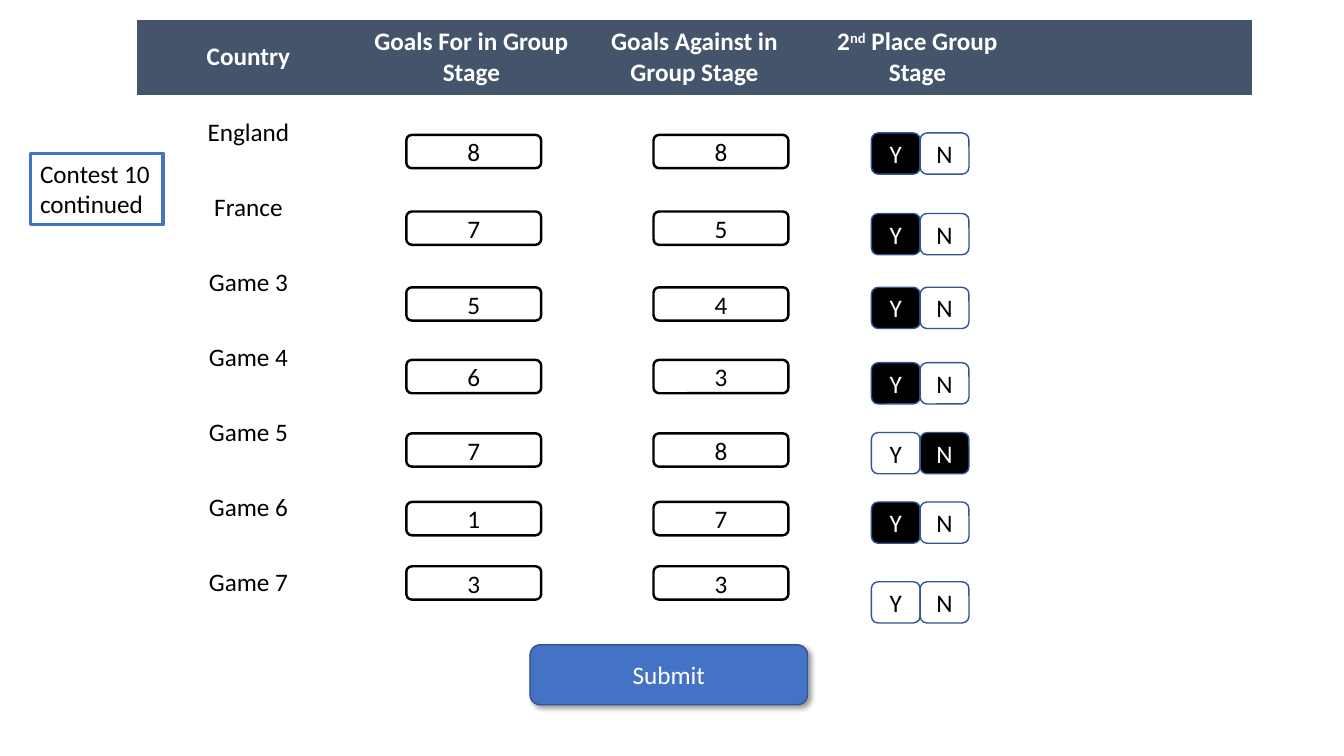
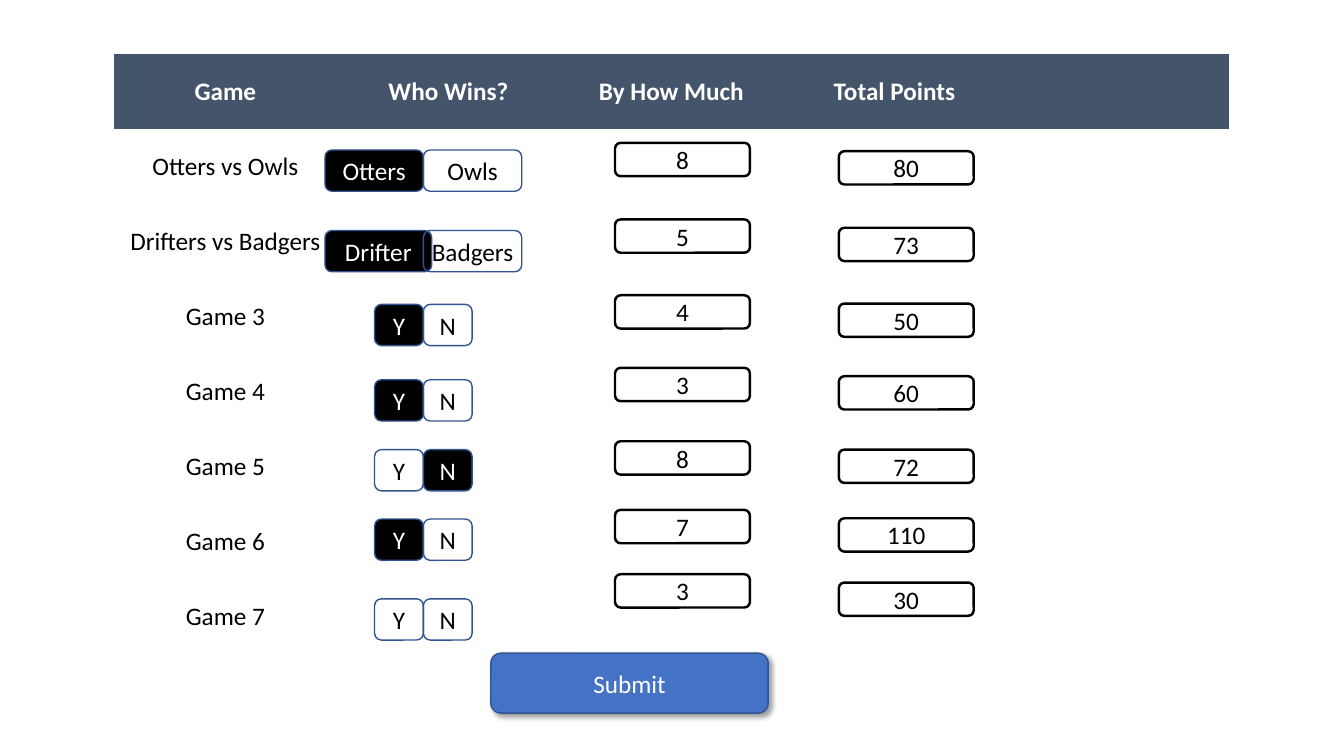
from lxml import etree
from pptx import Presentation
from pptx.dml.color import RGBColor
from pptx.enum.shapes import MSO_SHAPE as Preset
from pptx.enum.text import MSO_ANCHOR as Anchor, PP_ALIGN as Align
from pptx.oxml import parse_xml
from pptx.oxml.ns import nsdecls, qn
from pptx.util import Cm, Pt

FONT_NAME = "Calibri"
FONT_SIZE = Pt(18)
WHITE = RGBColor(0xFF, 0xFF, 0xFF)
BLACK = RGBColor(0x00, 0x00, 0x00)
SLATE = RGBColor(0x44, 0x54, 0x6A)
BLUE = RGBColor(0x44, 0x72, 0xC4)
DARK_BLUE = RGBColor(0x32, 0x54, 0x91)

PLAIN_TABLE_STYLE = "{2D5ABB26-0587-4C30-8999-92F81FD0307C}"
COLUMN_COUNT = 5
COLUMN_WIDTH = 5.62
ROW_HEIGHT = 1.89

ENTRY_TOPS = [3.4, 5.33, 7.24, 9.07, 10.92, 12.65, 14.27]
ENTRY_SIZE = (3.4, 0.84)
CHOICE_TOPS = [3.35, 5.38, 7.24, 9.14, 10.9, 12.65, 14.66]
CHOICE_WIDTH = 1.23
TEAM_WIDTH = 2.48
CHOICE_HEIGHT = 1.04
SUBMIT_SIZE = (6.99, 1.51)

GAMES = [f"Game {number}" for number in range(3, 8)]
YES, NO = "Y", "N"
PICKS = [YES, YES, NO, YES, None]


def format_text(frame, color, align=Align.CENTER, bold=False):
    for para in frame.paragraphs:
        para.alignment = align
        for span in para.runs:
            span.font.name = FONT_NAME
            span.font.size = FONT_SIZE
            span.font.bold = bold
            span.font.color.rgb = color


def add_box(page, preset, place, text, color, fill, line, line_width):
    box = page.shapes.add_shape(preset, *[Cm(length) for length in place])
    box.shadow.inherit = False
    if fill is None:
        box.fill.background()
    else:
        box.fill.solid()
        box.fill.fore_color.rgb = fill
    box.line.color.rgb = line
    box.line.width = Pt(line_width)
    frame = box.text_frame
    frame.text = text
    frame.word_wrap = False
    frame.vertical_anchor = Anchor.MIDDLE
    format_text(frame, color)
    return box


def add_entries(page, left, shift, values):
    for top, value in zip(ENTRY_TOPS, values):
        place = (left, top + shift, *ENTRY_SIZE)
        add_box(page, Preset.ROUNDED_RECTANGLE, place, str(value), BLACK,
                None, BLACK, 1.75)


def add_choice(page, left, top, width, text, chosen):
    color, fill = (WHITE, BLACK) if chosen else (BLACK, None)
    add_box(page, Preset.ROUNDED_RECTANGLE, (left, top, width, CHOICE_HEIGHT),
            text, color, fill, DARK_BLUE, 1)


def add_yes_no(page, seam, shift, tops, picks):
    for top, pick in zip(tops, picks):
        for left, text in ((seam - CHOICE_WIDTH, YES), (seam, NO)):
            add_choice(page, left, top + shift, CHOICE_WIDTH, text, text == pick)


def add_submit(page, left, top):
    box = add_box(page, Preset.ROUNDED_RECTANGLE, (left, top, *SUBMIT_SIZE),
                  "Submit", WHITE, BLUE, DARK_BLUE, 1)
    effects = box._element.spPr.find(qn("a:effectLst"))
    effects.append(parse_xml(
        f'<a:outerShdw {nsdecls("a")} blurRad="50800" dist="38100" dir="2700000"'
        ' algn="tl" rotWithShape="0"><a:srgbClr val="000000">'
        '<a:alpha val="40000"/></a:srgbClr></a:outerShdw>'))


def add_contest_label(page, text):
    box = add_box(page, Preset.RECTANGLE, (0.76, 3.86, 3.35, 1.8), text, BLACK,
                  None, BLUE, 2.25)
    box.text_frame.word_wrap = True
    box.text_frame.vertical_anchor = Anchor.TOP
    format_text(box.text_frame, BLACK, Align.LEFT)


def set_cell(cell, text, color, bold):
    cell.vertical_anchor = Anchor.MIDDLE
    para = cell.text_frame.paragraphs[0]
    for index, part in enumerate(text.split("^")):
        span = para.add_run()
        span.text = part
        if index % 2:
            span._r.get_or_add_rPr().set("baseline", "30000")
    format_text(cell.text_frame, color, bold=bold)


def add_grid(page, left, top, headings, labels):
    row_count = len(labels) + 1
    table = page.shapes.add_table(
        row_count, COLUMN_COUNT, Cm(left), Cm(top),
        Cm(COLUMN_WIDTH * COLUMN_COUNT), Cm(ROW_HEIGHT * row_count)).table
    table.horz_banding = False
    properties = table._tbl.tblPr
    style = properties.find(qn("a:tableStyleId"))
    if style is None:
        style = etree.SubElement(properties, qn("a:tableStyleId"))
    style.text = PLAIN_TABLE_STYLE
    for column in table.columns:
        column.width = Cm(COLUMN_WIDTH)
    for row_index, row in enumerate(table.rows):
        row.height = Cm(ROW_HEIGHT)
        for cell in row.cells:
            if row_index == 0:
                cell.fill.solid()
                cell.fill.fore_color.rgb = SLATE
            else:
                cell.fill.background()
    for index, heading in enumerate(headings):
        set_cell(table.cell(0, index), heading, WHITE, True)
    for index, label in enumerate(labels, 1):
        set_cell(table.cell(index, 0), label, BLACK, False)


def build_group_stage(page):
    headings = ["Country", "Goals For in Group Stage",
                "Goals Against in Group Stage", "2^nd^ Place Group Stage"]
    add_grid(page, 3.45, 0.5, headings, ["England", "France"] + GAMES)
    add_submit(page, 13.36, 16.25)
    add_entries(page, 16.47, 0, [8, 5, 4, 3, 8, 7, 3])
    add_entries(page, 10.24, 0, [8, 7, 5, 6, 7, 1, 3])
    add_contest_label(page, "Contest 10 continued")
    add_yes_no(page, 23.19, 0, CHOICE_TOPS, [YES, YES] + PICKS)


def build_winners(page):
    seam, shift = 10.67, 0.43
    headings = ["Game", "Who Wins?", "By How Much", "Total Points"]
    labels = ["Otters vs Owls", "Drifters vs Badgers"] + GAMES
    add_grid(page, 2.87, 1.36, headings, labels)
    teams = [("Otters", TEAM_WIDTH, "Owls"), ("Drifter", 2.69, "Badgers")]
    for top, (winner, width, loser) in zip(CHOICE_TOPS, teams):
        add_choice(page, seam - TEAM_WIDTH, top + shift, width, winner, True)
        add_choice(page, seam, top + shift, TEAM_WIDTH, loser, False)
    add_yes_no(page, seam, shift, CHOICE_TOPS[len(teams):], PICKS)
    add_submit(page, 12.37, 16.46)
    add_entries(page, 15.5, 0.2, [8, 5, 4, 3, 8, 7, 3])
    add_entries(page, 21.14, 0.41, [80, 73, 50, 60, 72, 110, 30])


def main():
    deck = Presentation()
    deck.slide_width = Cm(33.87)
    deck.slide_height = Cm(19.05)
    blank = deck.slide_layouts.get_by_name("Blank")
    for build in (build_group_stage, build_winners):
        build(deck.slides.add_slide(blank))
    deck.save("out.pptx")


main()
